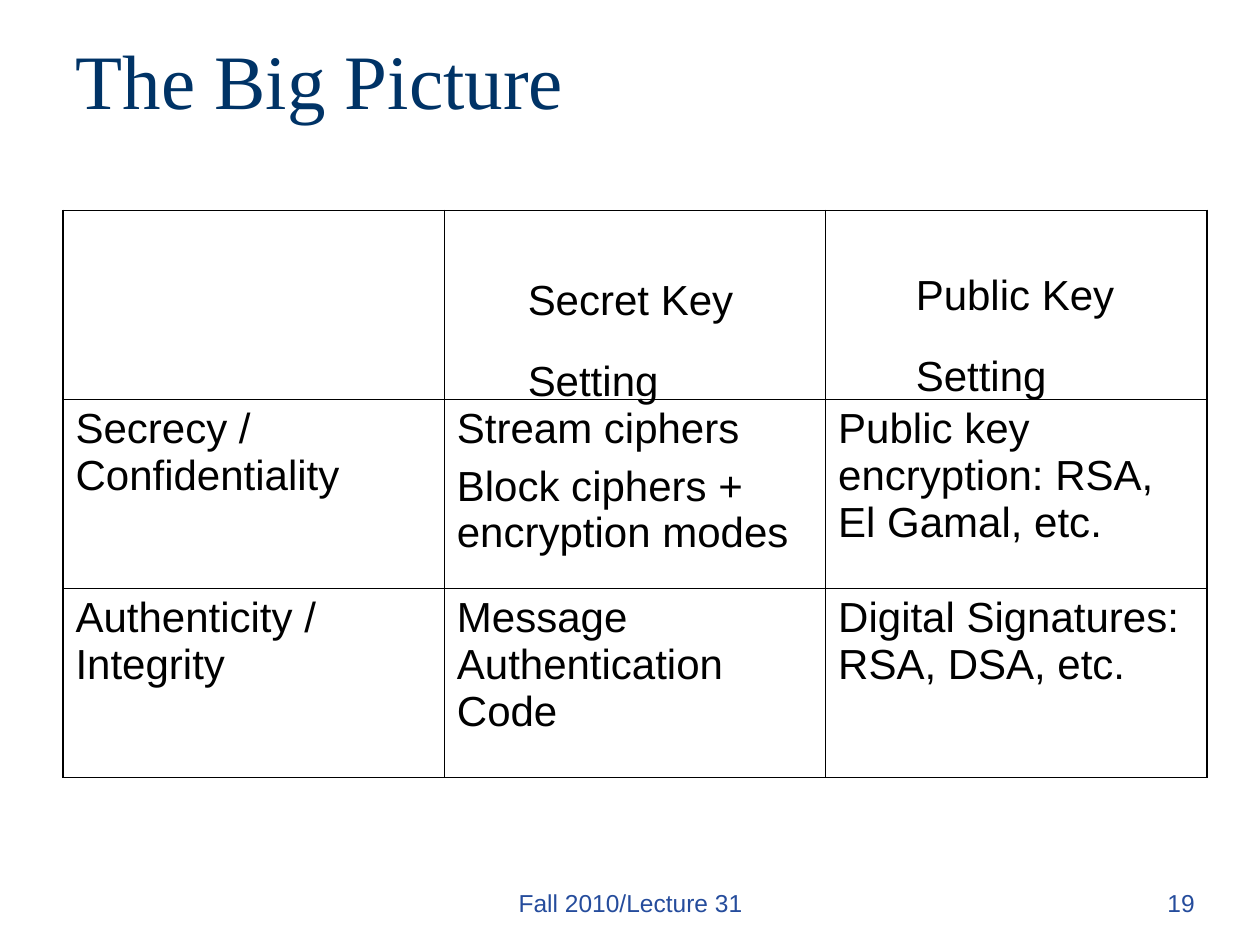
import pptx
import pptx.dml.color
import pptx.enum.text
import pptx.oxml.ns
import pptx.util
from lxml import etree

Inches = pptx.util.Inches
Pt = pptx.util.Pt
ALIGN = pptx.enum.text.PP_ALIGN
ANCHOR = pptx.enum.text.MSO_ANCHOR


def color(value):
    return pptx.dml.color.RGBColor.from_string(value)


class SlideBuilder:
    INK, TITLE, FOOTER = "000000", "003366", "254C9C"
    OUTER, INNER = 1.08, 0.45  # table rule widths in points

    def __init__(self, presentation):
        self.slide = presentation.slides.add_slide(presentation.slide_layouts[5])

    def fill_text(self, frame, lines, size=24, ink=INK, font="Arial", **formats):
        """Put each line in its own paragraph with shared formatting."""
        for index, line in enumerate(lines):
            paragraph = frame.paragraphs[0] if index == 0 else frame.add_paragraph()
            paragraph.text = line
            paragraph.space_before = Pt(6 if index else 0)
            for name, value in formats.items():
                setattr(paragraph, name, value)
            for name, value in {"name": font, "size": Pt(size)}.items():
                setattr(paragraph.font, name, value)
            paragraph.font.color.rgb = color(ink)

    def title(self, text, left, top, width, height):
        shape = self.slide.shapes.title
        places = {"left": left, "top": top, "width": width, "height": height}
        for name, value in places.items():
            setattr(shape, name, Inches(value))
        shape.text_frame.vertical_anchor = ANCHOR.MIDDLE
        self.fill_text(shape.text_frame, [text], 44, self.TITLE,
                       "Times New Roman", alignment=ALIGN.LEFT)

    def text(self, lines, left, top, width, height, wrap=True, **formats):
        box = self.slide.shapes.add_textbox(
            Inches(left), Inches(top), Inches(width), Inches(height))
        frame = box.text_frame
        frame.word_wrap = wrap
        if not wrap:
            frame.auto_size = pptx.enum.text.MSO_AUTO_SIZE.SHAPE_TO_FIT_TEXT
        self.fill_text(frame, lines, **formats)

    def border(self, cell, side, width):
        properties = cell._tc.get_or_add_tcPr()
        qn = pptx.oxml.ns.qn
        line = etree.SubElement(properties, qn("a:ln" + side), w=str(int(Pt(width))))
        fill = etree.SubElement(line, qn("a:solidFill"))
        etree.SubElement(fill, qn("a:srgbClr"), val=self.INK)

    def table(self, rows, left, top, width, height):
        row_count, column_count = len(rows), len(rows[0])
        table = self.slide.shapes.add_table(
            row_count, column_count, Inches(left), Inches(top),
            Inches(width), Inches(height)).table
        table.first_row = table.horz_banding = False
        for r, row in enumerate(rows):
            for c, lines in enumerate(row):
                cell = table.cell(r, c)
                for name in ("margin_left", "margin_right"):
                    setattr(cell, name, Inches(0.1))
                for name in ("margin_top", "margin_bottom"):
                    setattr(cell, name, Inches(0.05))
                self.fill_text(cell.text_frame, lines)
                on_edge = {"L": c == 0, "R": c == column_count - 1,
                           "T": r == 0, "B": r == row_count - 1}
                for side, outer in on_edge.items():
                    self.border(cell, side, self.OUTER if outer else self.INNER)
                cell.fill.background()


def main():
    presentation = pptx.Presentation()
    presentation.slide_width, presentation.slide_height = Inches(10), Inches(7.5)
    builder = SlideBuilder(presentation)

    # Footer and slide number
    footer = {"size": 14, "ink": builder.FOOTER}
    builder.text(["Fall 2010/Lecture 31"], 3.42, 7, 3.17, 0.5,
                 alignment=ALIGN.CENTER, **footer)
    builder.text(["19"], 7.5, 7, 2.08, 0.5, alignment=ALIGN.RIGHT, **footer)

    # Title
    builder.title("The Big Picture", 0.5, 0, 9, 1.25)

    # Goals against key settings
    builder.table([
        [[], [], []],
        [["Secrecy / Confidentiality"],
         ["Stream ciphers", "Block ciphers + encryption modes"],
         ["Public key encryption: RSA, El Gamal, etc."]],
        [["Authenticity / Integrity"],
         ["Message Authentication Code"],
         ["Digital Signatures: RSA, DSA, etc."]],
    ], 0.5, 1.67, 9.08, 4.5)

    # Column headings laid over the top row
    for kind, left, top, width in (("Secret Key", 4.09, 1.96, 1.92),
                                   ("Public Key", 7.17, 1.92, 1.86)):
        builder.text([kind, "Setting"], left, top, width, 1.31, wrap=False,
                     line_spacing=1.4)

    presentation.save("out.pptx")


if __name__ == "__main__":
    main()
